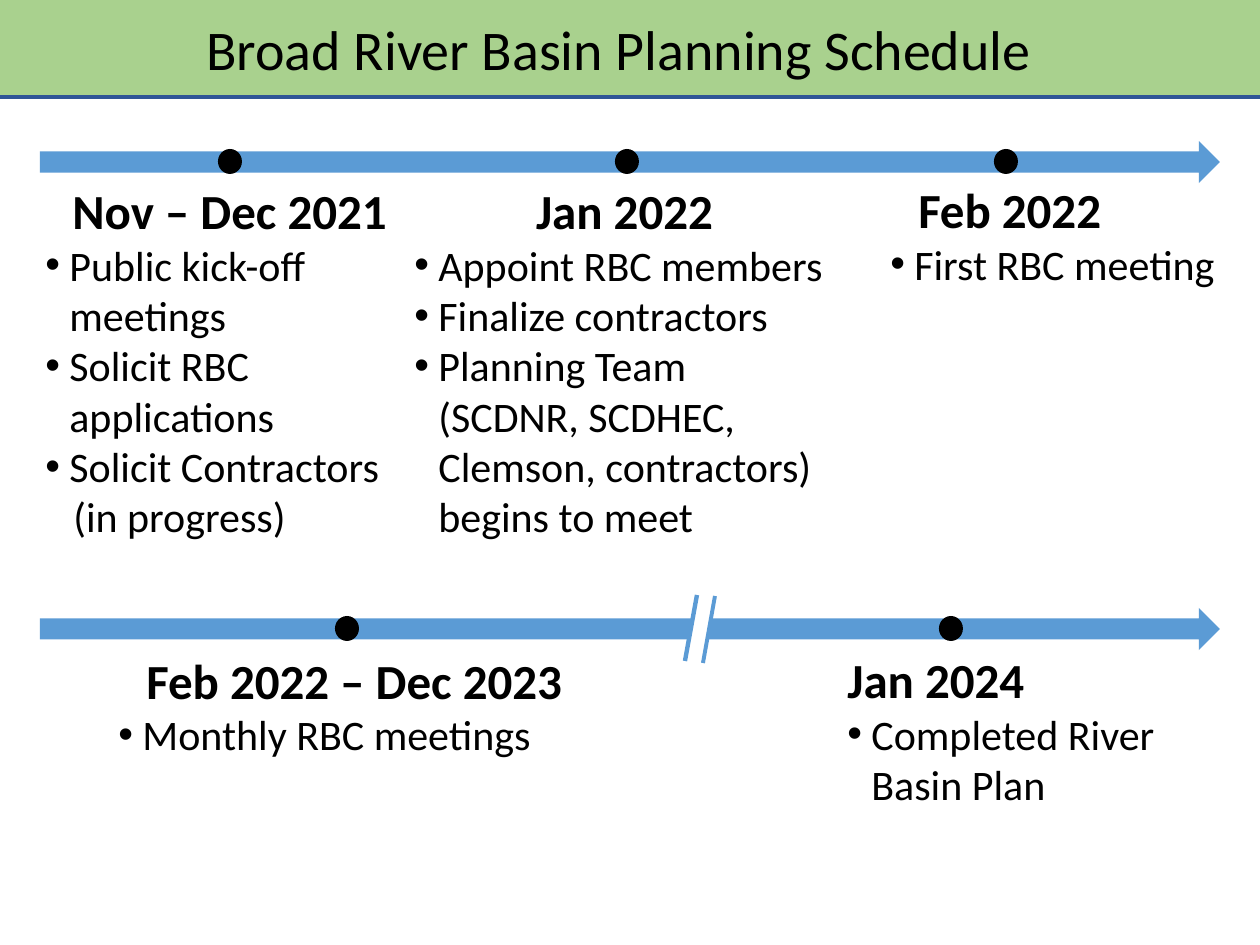
from lxml import etree
from pptx import Presentation
from pptx.dml.color import RGBColor
from pptx.enum.shapes import MSO_CONNECTOR, MSO_SHAPE
from pptx.enum.text import PP_ALIGN
from pptx.oxml.ns import qn
from pptx.util import Pt

PX = 7257.6  # EMU per px, 126 px to the inch
BLUE, BLACK = "5B9BD5", "000000"


def color(hex_string):
    return RGBColor.from_string(hex_string)


def add_text(frame, text, size=24, bold=False, align=PP_ALIGN.LEFT,
             indent=0, bullet=False, first=False):
    paragraph = frame.paragraphs[0] if first else frame.add_paragraph()
    paragraph.alignment = align
    properties = paragraph._p.get_or_add_pPr()
    properties.set("marL", str(round(indent * PX)))
    properties.set("indent", str(round(-indent * PX) if bullet else 0))
    if bullet:
        etree.SubElement(properties, qn("a:buFont")).set("typeface", "Arial")
        etree.SubElement(properties, qn("a:buChar")).set("char", "•")
    run = paragraph.add_run()
    run.text = text
    run.font.name = "Calibri"
    run.font.size = Pt(size)
    run.font.bold = bold
    run.font.color.rgb = color(BLACK)


presentation = Presentation()
presentation.slide_width = round(1260 * PX)
presentation.slide_height = round(945 * PX)
slide = presentation.slides.add_slide(presentation.slide_layouts[6])

# Title band, timeline arrows, break in the second arrow, milestone dots
shapes = [
    (MSO_SHAPE.RECTANGLE, 0, 0, 1260, 98, "A9D18E"),
    (MSO_SHAPE.RIGHT_ARROW, 40, 141, 1180, 42, BLUE),
    (MSO_SHAPE.RIGHT_ARROW, 40, 608, 1180, 42, BLUE),
    (MSO_SHAPE.PARALLELOGRAM, 688, 610, 24, 35, "FFFFFF"),
]
for left, top in [(218, 149), (615, 149), (994, 149), (335, 616), (939, 616)]:
    shapes.append((MSO_SHAPE.OVAL, left, top, 24, 25, BLACK))
for kind, left, top, width, height, fill in shapes:
    shape = slide.shapes.add_shape(
        kind, *(round(value * PX) for value in (left, top, width, height)))
    shape.shadow.inherit = False
    shape.fill.solid()
    shape.fill.fore_color.rgb = color(fill)
    shape.line.fill.background()

# Rule under the title and the two break marks
lines = [
    (0, 97, 1260, 97, "2F5597", 2),
    (697, 595, 685, 661, BLUE, 2.5),
    (715, 596, 703, 663, BLUE, 2.25),
]
for x1, y1, x2, y2, line_color, width in lines:
    connector = slide.shapes.add_connector(
        MSO_CONNECTOR.STRAIGHT, *(round(value * PX) for value in (x1, y1, x2, y2)))
    connector.line.color.rgb = color(line_color)
    connector.line.width = Pt(width)
    etree.SubElement(connector._element.spPr, qn("a:effectLst"))

# Title
title = slide.shapes.add_textbox(*(round(value * PX) for value in (194, 8, 890, 81)))
title.text_frame.word_wrap = False
add_text(title.text_frame, "Broad River Basin Planning Schedule", size=32, first=True)

# Milestones: box, heading, heading alignment and indent, bullets
milestones = [
    ((33, 174, 393, 378), "Nov – Dec 2021", PP_ALIGN.CENTER, 0,
     ["Public kick-off meetings", "Solicit RBC applications", "Solicit Contractors"]),
    ((402, 174, 445, 428), "Jan 2022", PP_ALIGN.CENTER, 0,
     ["Appoint RBC members", "Finalize contractors",
      "Planning Team (SCDNR, SCDHEC, Clemson, contractors) begins to meet"]),
    ((878, 173, 362, 123), "Feb 2022", PP_ALIGN.LEFT, 28, ["First RBC meeting"]),
    ((106, 644, 483, 123), "Feb 2022 – Dec 2023", PP_ALIGN.LEFT, 28,
     ["Monthly RBC meetings"]),
    ((835, 643, 362, 174), "Jan 2024", PP_ALIGN.LEFT, 0,
     ["Completed River Basin Plan"]),
]
for box, heading, align, indent, bullets in milestones:
    textbox = slide.shapes.add_textbox(*(round(value * PX) for value in box))
    frame = textbox.text_frame
    frame.word_wrap = True
    add_text(frame, heading, size=28, bold=True, align=align, indent=indent, first=True)
    for text in bullets:
        add_text(frame, text, indent=24, bullet=True)
    if "Solicit Contractors" in bullets:
        add_text(frame, "(in progress)", indent=28)

presentation.save("out.pptx")
